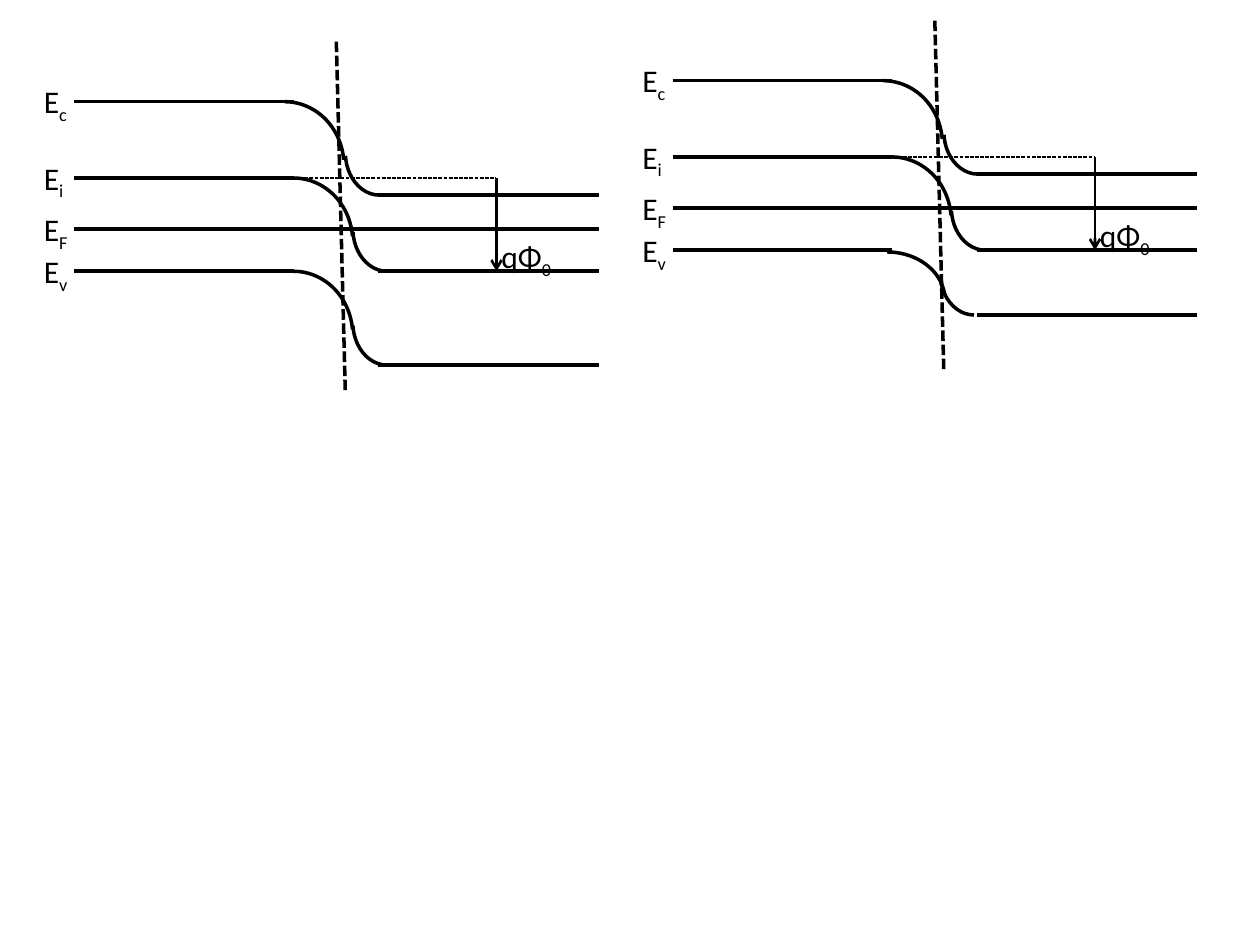
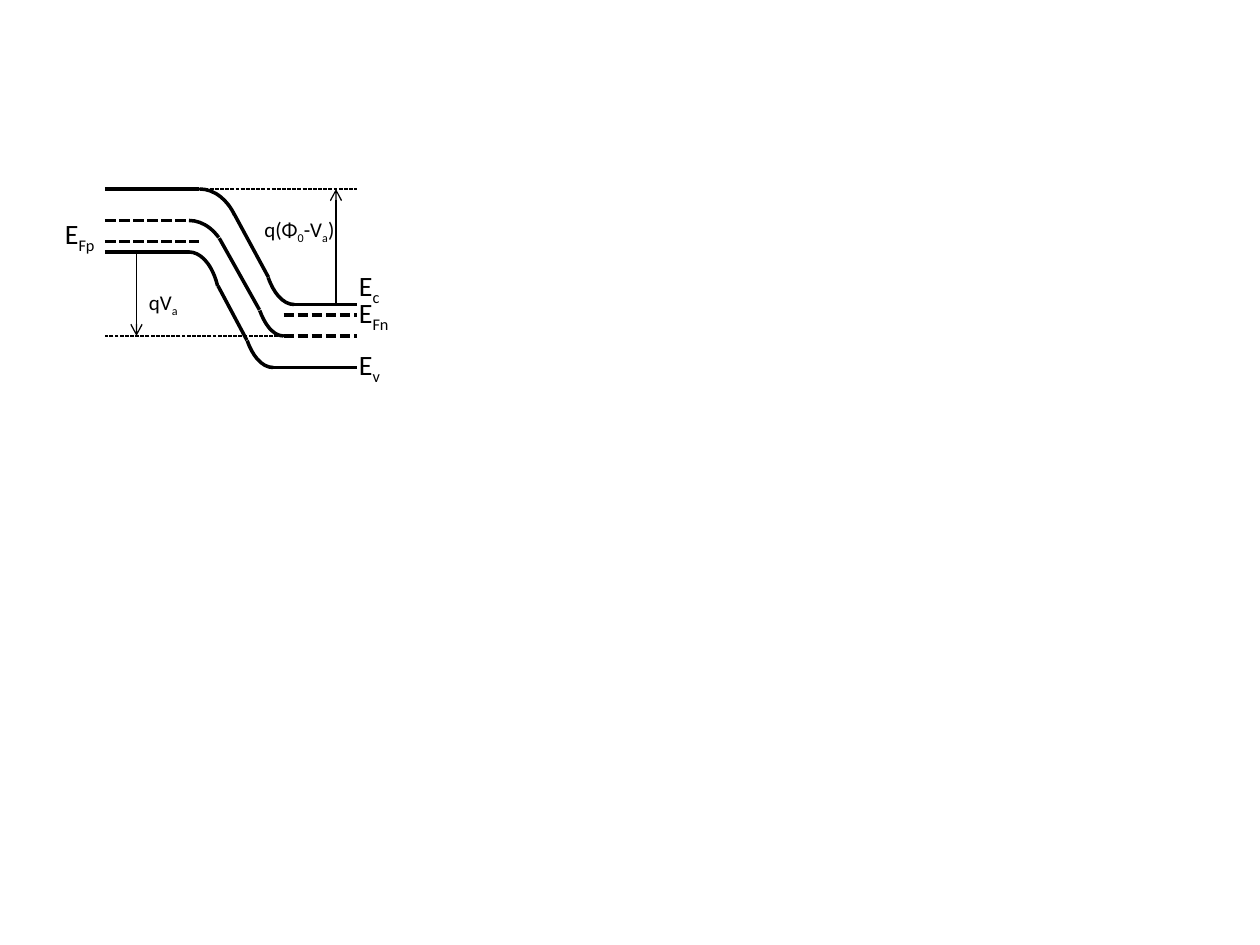
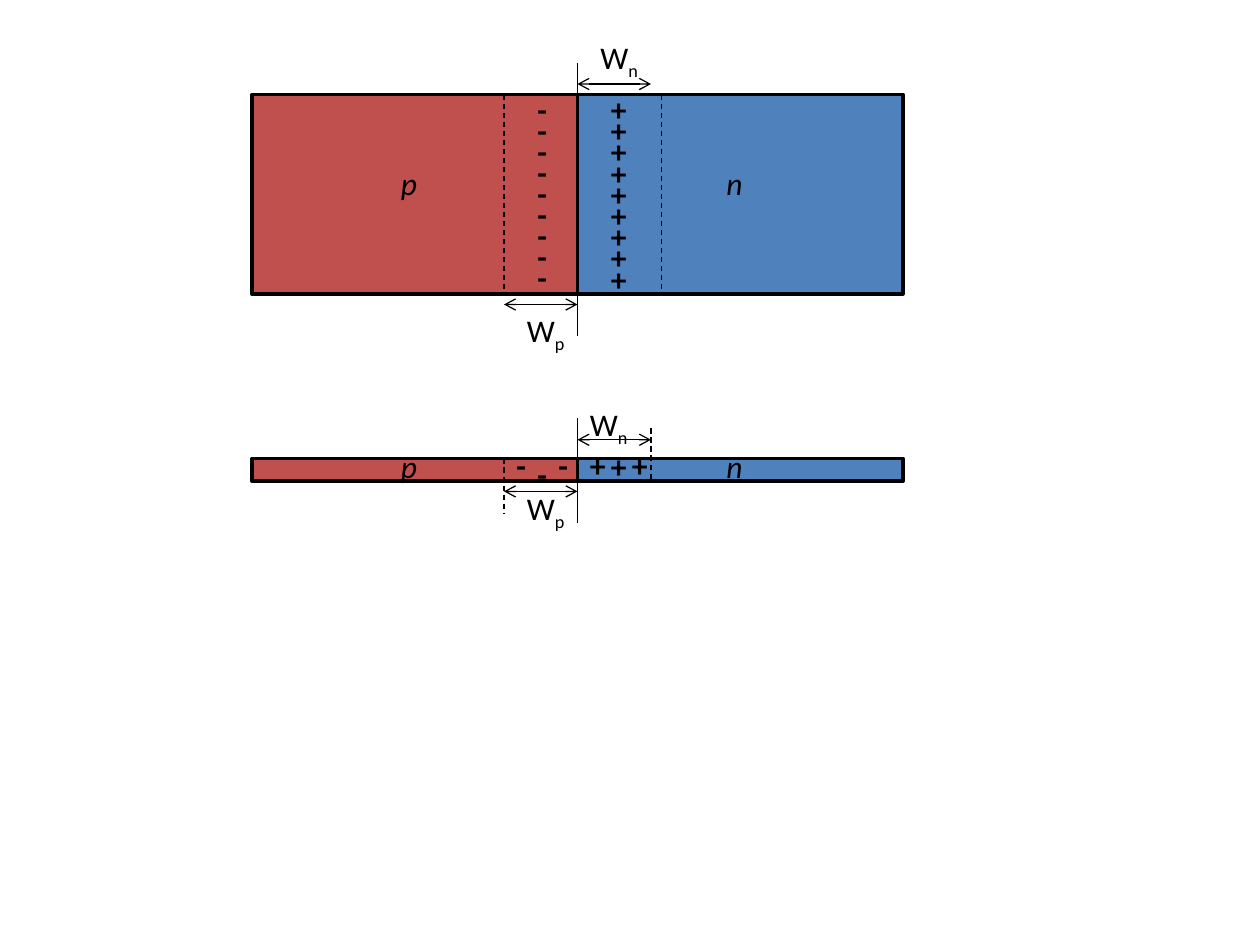
from pptx import Presentation
from pptx.dml.color import RGBColor
from pptx.enum.dml import MSO_LINE
from pptx.enum.shapes import MSO_CONNECTOR, MSO_SHAPE
from pptx.enum.text import MSO_AUTO_SIZE
from pptx.oxml.ns import qn
from pptx.oxml.xmlchemy import OxmlElement
from pptx.util import Pt

COLOURS = {"ink": "000000", "p_side": "C0504D", "n_side": "4F81BD"}
INK = RGBColor.from_string(COLOURS["ink"])
FONT = "Calibri"
HEAVY, MEDIUM, THIN = 2, 1.5, 0.75
DASH, SHORT_DASH = MSO_LINE.DASH, MSO_LINE.SQUARE_DOT


def draw_line(shapes, x1, y1, x2, y2, width=HEAVY, dash=None, arrows=()):
    connector = shapes.add_connector(MSO_CONNECTOR.STRAIGHT, Pt(x1), Pt(y1), Pt(x2), Pt(y2))
    connector.line.color.rgb = INK
    connector.line.width = Pt(width)
    if dash:
        connector.line.dash_style = dash
    properties = connector._element.spPr
    for end in arrows:
        arrowhead = OxmlElement(f"a:{end}")
        arrowhead.set("type", "arrow")
        properties.find(qn("a:ln")).append(arrowhead)
    properties.append(OxmlElement("a:effectLst"))


def draw_text(shapes, left, top, width, parts, size=18, bold=False, italic=False):
    """Write parts in turn as normal text and subscript."""
    box = shapes.add_textbox(Pt(left), Pt(top), Pt(width), Pt(size * 1.2 + 7.2))
    box.text_frame.word_wrap = True
    box.text_frame.auto_size = MSO_AUTO_SIZE.SHAPE_TO_FIT_TEXT
    paragraph = box.text_frame.paragraphs[0]
    for index, part in enumerate(parts):
        run = paragraph.add_run()
        run.text = part
        run.font.name = FONT
        run.font.size = Pt(size)
        run.font.color.rgb = INK
        run.font.bold = bold
        run.font.italic = italic
        if index % 2:
            run._r.get_or_add_rPr().set("baseline", "-25000")


presentation = Presentation()
presentation.slide_width, presentation.slide_height = Pt(720), Pt(540)
blank = presentation.slide_layouts[6]
equilibrium, biased, junctions = [presentation.slides.add_slide(blank) for _ in range(3)]

# Band bends: slide, left, top, width, height, end angle, turned half round
bends = []

# Slide 1: two band diagrams in equilibrium
shapes = equilibrium.shapes
START, BEND, FLAT, END, ARROW = 42.3, 168, 216, 342, 283.7
C_LEVEL, I_LEVEL, F_LEVEL, V_LEVEL = 58.1, 101.7, 131, 155
BEND_END = 212.811
# Panel offsets, level of Ev at the right, its upper bend and its lower bend's left
panels = [
    (0, 0, 208.6, (133.9, 155, 67.7, 72.7), 201.6),
    (342, -12, 192, (131.8, 156, 66.2, 54.7), 195.1),
]
for dx, dy, v_right, v_bend, v_lower in panels:
    bands = [
        ("c", C_LEVEL, 111.5, (128.9, C_LEVEL, 67.7, 72.7), 197.3),
        ("i", I_LEVEL, V_LEVEL, (133.9, I_LEVEL, 67.7, 72.7), 201.6),
        ("v", V_LEVEL, v_right, v_bend, v_lower),
    ]
    for name, level, right_level, (left, top, width, height), lower_left in bands:
        draw_line(shapes, START + dx, level + dy, BEND + dx, level + dy)
        draw_line(shapes, FLAT + dx, right_level + dy, END + dx, right_level + dy)
        draw_text(shapes, 18 + dx, level - 14.6 + dy, 28.8, ["E", name])
        bends.append((equilibrium, left + dx, top + dy, width, height, BEND_END, False))
        bends.append((equilibrium, lower_left + dx, right_level - 48.5 + dy,
                      38.9, 48.5, BEND_END, True))

    # Fermi level
    for x1, x2 in [(START, BEND), (BEND, END)]:
        draw_line(shapes, x1 + dx, F_LEVEL + dy, x2 + dx, F_LEVEL + dy)
    draw_text(shapes, 18 + dx, F_LEVEL - 14.6 + dy, 28.8, ["E", "F"])

    # Junction and built-in potential
    draw_line(shapes, 192.2 + dx, 23.8 + dy, 197.3 + dx, 223.2 + dy, dash=SHORT_DASH)
    draw_line(shapes, BEND + dx, I_LEVEL + dy, ARROW + dx, I_LEVEL + dy, THIN, SHORT_DASH)
    draw_line(shapes, ARROW + dx, I_LEVEL + dy, ARROW + dx, V_LEVEL + dy,
              MEDIUM, arrows=["tailEnd"])
    draw_text(shapes, 279.4 + dx, 131.8 + dy, 56.9, ["qΦ", "0"])

# Slide 2: band diagram under bias
shapes = biased.shapes
START, END = 60, 204
for x1, x2, y, dash in [
    (START, 114, 108, None), (START, 108, 126, SHORT_DASH),
    (START, 114, 138, SHORT_DASH), (START, 108, 144, None),
    (168, END, 174, None), (162, END, 180, SHORT_DASH),
    (162, END, 192, SHORT_DASH), (156, END, 210, None),
]:
    draw_line(shapes, x1, y, x2, y, dash=dash)
for slope in [(133.9, 122.4, 153.4, 158.4), (125.3, 136.1, 148.3, 177.1),
              (124.6, 163.4, 141.1, 194.4)]:
    draw_line(shapes, *slope)
bends += [
    (biased, 90, 108, 48, 66, 190.494, False), (biased, 150, 102, 36, 72, 183.355, True),
    (biased, 84, 126, 48, 66, 183.732, False), (biased, 144, 108, 36, 84, 177.823, True),
    (biased, 90, 144, 36, 66, 192.234, False), (biased, 138, 138, 36, 72, 183.355, True),
]
for left, top, name in [(30, 120, "Fp"), (198, 165.6, "Fn"), (198, 150, "c"), (198, 195, "v")]:
    draw_text(shapes, left, top, 48, ["E", name], size=16)

# Potential differences
draw_line(shapes, 162, 192, START, 192, THIN, SHORT_DASH)
draw_line(shapes, 114, 108, END, 108, THIN, SHORT_DASH)
draw_line(shapes, 192, 174, 192, 108, THIN, arrows=["tailEnd"])
draw_line(shapes, 78, 144, 78, 192, THIN, arrows=["tailEnd"])
draw_text(shapes, 144, 120, 66, ["q(Φ", "0", "-V", "a", ")"], size=12)
draw_text(shapes, 78, 162, 48, ["qV", "a"], size=12)

# Bends of both band diagrams
for slide, left, top, width, height, end_angle, turned in bends:
    arc = slide.shapes.add_shape(MSO_SHAPE.ARC, Pt(left), Pt(top), Pt(width), Pt(height))
    arc.adjustments[0] = 162
    arc.adjustments[1] = end_angle
    arc.rotation = 180 if turned else 0
    arc.shadow.inherit = False
    arc.fill.background()
    arc.line.color.rgb = INK
    arc.line.width = Pt(HEAVY)

# Slide 3: a thick and a thin p-n junction
EDGE, JUNCTION, SIDE = 144, 330, 186
DEPLETION_P, DEPLETION_N = 288, 372
devices = [
    {
        "top": 54, "height": 114, "name_top": 90,
        "charges": [(x, 48 + step * row, sign)
                    for x, step, sign in [(342, 12.1, "+"), (300, 12, "-")] for row in range(9)],
        "borders": [(DEPLETION_P, 54, 168), (378, 54, 168)],
        "junction": [(156, 192), (36, 72)],
        "arrow_tops": (174, 48),
        "widths": [(294, 174, "p"), (336, 18, "n")],
    },
    {
        "top": 262, "height": 13, "name_top": 252,
        "charges": [(342, 252, "+"), (330, 251.3, "+"), (354, 251.3, "+"),
                    (300, 256.3, "-"), (312, 251.3, "-"), (288, 251.3, "-")],
        "borders": [(DEPLETION_P, 262, 293), (DEPLETION_N, 244.8, 275)],
        "junction": [(262.8, 298.8), (239, 275)],
        "arrow_tops": (280.8, 251.3),
        "widths": [(294, 275.8, "p"), (330, 228.2, "n")],
    },
]
for device in devices:
    shapes = junctions.shapes.add_group_shape().shapes

    # Doped sides
    for left, colour in [(EDGE, "p_side"), (JUNCTION, "n_side")]:
        side = shapes.add_shape(MSO_SHAPE.RECTANGLE, Pt(left), Pt(device["top"]),
                                Pt(SIDE), Pt(device["height"]))
        side.shadow.inherit = False
        side.fill.solid()
        side.fill.fore_color.rgb = RGBColor.from_string(COLOURS[colour])
        side.line.color.rgb = INK
        side.line.width = Pt(HEAVY)
    for left, name in [(222, "p"), (408, "n")]:
        draw_text(shapes, left, device["name_top"], 54, [name], italic=True)

    # Fixed charges
    for left, top, sign in device["charges"]:
        draw_text(shapes, left, top, 30 if sign == "+" else 24, [sign], bold=True)

    # Depletion region
    for x, top, bottom in device["borders"]:
        draw_line(shapes, x, top, x, bottom, THIN, DASH)
    for top, bottom in device["junction"]:
        draw_line(shapes, JUNCTION, top, JUNCTION, bottom, THIN)
    p_top, n_top = device["arrow_tops"]
    for x1, x2, y in [(DEPLETION_P, JUNCTION, p_top), (JUNCTION, DEPLETION_N, n_top)]:
        draw_line(shapes, x1, y, x2, y, THIN, arrows=["headEnd", "tailEnd"])
    for left, top, name in device["widths"]:
        draw_text(shapes, left, top, 54, ["W", name])

presentation.save("out.pptx")
